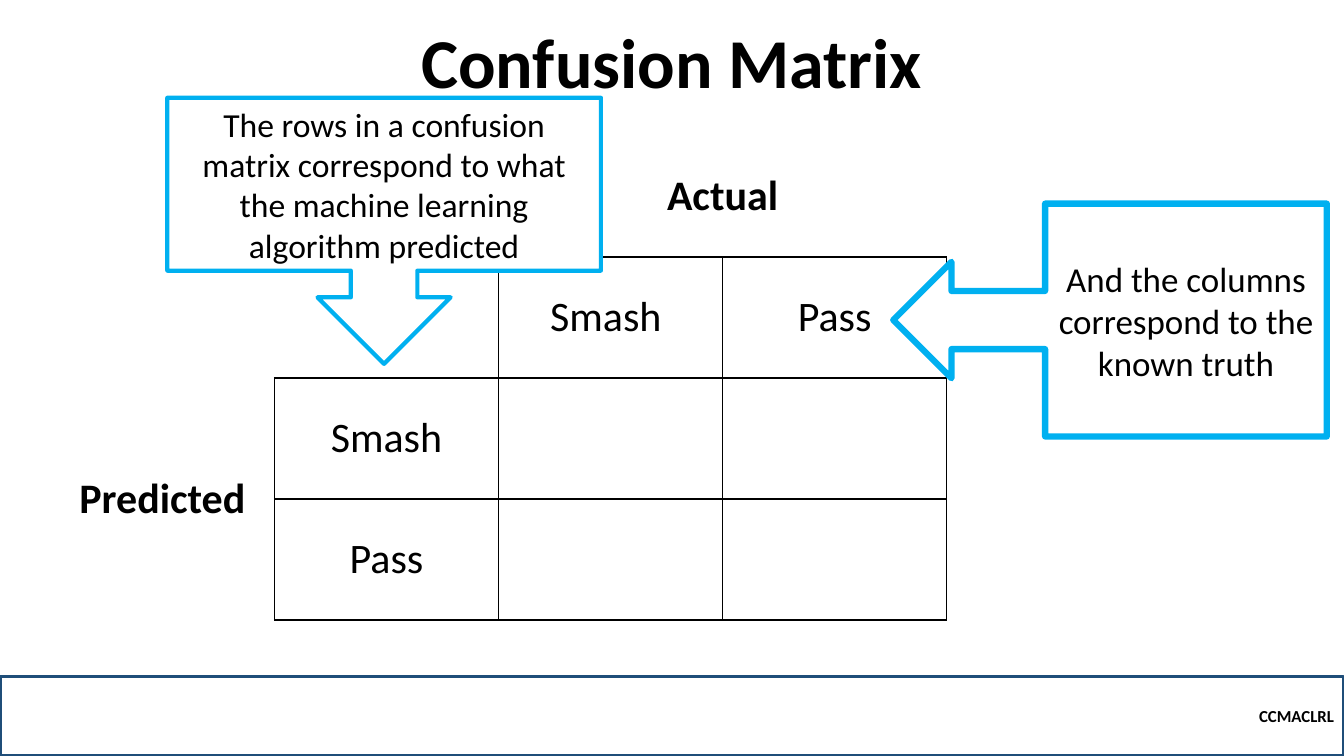
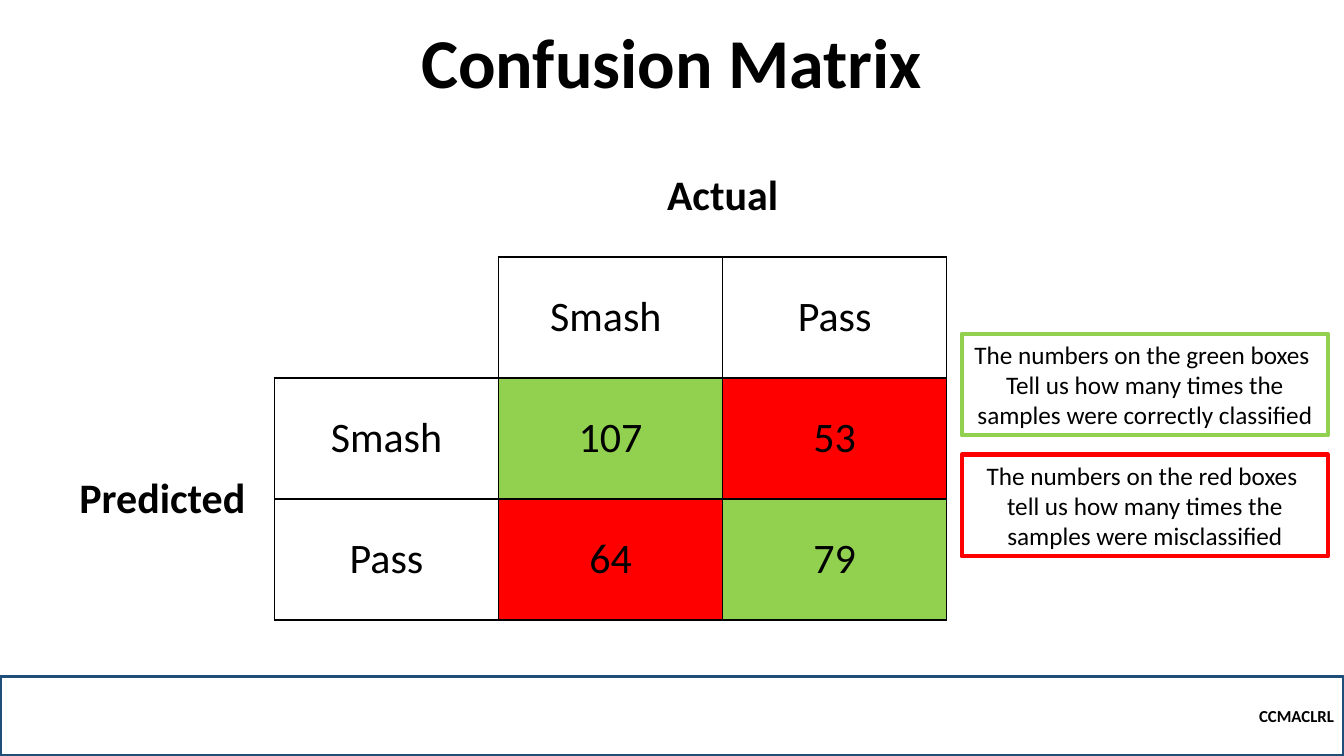
from dataclasses import dataclass

from lxml import etree
from pptx import Presentation
from pptx import util as u
from pptx.dml.color import RGBColor
from pptx.enum import shapes, text
from pptx.oxml import ns

FONT = "Calibri"
COLORS = {
    "ink": "000000",
    "paper": "FFFFFF",
    "band": "1F4E79",
    "callout": "00B0F0",
    "correct": "92D050",
    "wrong": "FF0000",
}
CENTER = text.PP_ALIGN.CENTER
MIDDLE = text.MSO_ANCHOR.MIDDLE
RECTANGLE = shapes.MSO_SHAPE.RECTANGLE
SIZE = 4
PLAIN_TABLE_STYLE = "{2D5ABB26-0587-4C30-8999-92F81FD0307C}"
NEIGHBORS = {"lnL": (0, -1), "lnR": (0, 1), "lnT": (-1, 0), "lnB": (1, 0)}
LABELS = {
    (0, 2): "Actual",
    (1, 2): "Smash ",
    (1, 3): "Pass",
    (2, 0): "Predicted",
    (2, 1): "Smash",
    (3, 1): "Pass",
}
AXIS_TITLES = ((0, 2), (2, 0))


@dataclass
class Box:
    left: float
    top: float
    width: float
    height: float
    lines: tuple[str, ...]
    size: float
    line_color: str
    line_width: float
    kind: shapes.MSO_SHAPE = RECTANGLE
    fill: str | None = None
    align: text.PP_ALIGN = CENTER
    bold: bool = False


@dataclass
class MatrixSlide:
    counts: dict[tuple[int, int], int]
    boxes: tuple[Box, ...]


FOOTER = Box(0, 6.71, 13.33, 0.79, ("CCMACLRL",), 12, "band", 2.25,
             align=text.PP_ALIGN.RIGHT, bold=True)


def note(top: float, color: str, lines: tuple[str, ...]) -> Box:
    return Box(9.54, top, 3.63, 1.01, lines, 18, color, 3)


SLIDES = (
    MatrixSlide({}, (
        Box(1.66, 0.97, 4.3, 2.64,
            ("The rows in a confusion matrix correspond to what the machine "
             "learning algorithm predicted",),
            24, "callout", 3, shapes.MSO_SHAPE.DOWN_ARROW_CALLOUT, "paper"),
        Box(8.86, 2.02, 4.3, 2.31,
            ("And the columns correspond to the known truth",),
            25, "callout", 4.5, shapes.MSO_SHAPE.LEFT_ARROW_CALLOUT, "paper"),
    )),
    MatrixSlide({(2, 2): 107, (2, 3): 53, (3, 2): 64, (3, 3): 79}, (
        note(3.31, "correct", ("The numbers on the green boxes ",
                               "Tell us how many times the",
                               "samples were correctly classified")),
        note(4.51, "wrong", ("The numbers on the red boxes ",
                             "tell us how many times the",
                             "samples were misclassified")),
    )),
)


def color(name: str) -> RGBColor:
    return RGBColor.from_string(COLORS[name])


def write(frame, lines: tuple[str, ...], size: float, bold: bool = False,
          align: text.PP_ALIGN = CENTER) -> None:
    frame.word_wrap = True
    frame.text = "\n".join(lines)
    for paragraph in frame.paragraphs:
        paragraph.alignment = align
        paragraph.font.name = FONT
        paragraph.font.size = u.Pt(size)
        paragraph.font.bold = bold
        paragraph.font.color.rgb = color("ink")


def set_fill(fill, name: str | None) -> None:
    if name is None:
        fill.background()
    else:
        fill.solid()
        fill.fore_color.rgb = color(name)


def draw_box(slide, box: Box) -> None:
    shape = slide.shapes.add_shape(
        box.kind, u.Inches(box.left), u.Inches(box.top),
        u.Inches(box.width), u.Inches(box.height))
    shape.shadow.inherit = False
    set_fill(shape.fill, box.fill)
    shape.line.color.rgb = color(box.line_color)
    shape.line.width = u.Pt(box.line_width)
    shape.text_frame.vertical_anchor = MIDDLE
    write(shape.text_frame, box.lines, box.size, box.bold, box.align)


def draw_title(slide) -> None:
    title = slide.shapes.add_textbox(
        u.Inches(0.5), u.Inches(0.29), u.Inches(12.33), u.Inches(0.79))
    title.text_frame.vertical_anchor = text.MSO_ANCHOR.BOTTOM
    write(title.text_frame, ("Confusion Matrix",), 50, bold=True)
    title.text_frame.paragraphs[0].line_spacing = 0.9


def is_ruled(row: int, column: int) -> bool:
    return 1 <= row < SIZE and 1 <= column < SIZE and (row, column) != (1, 1)


def draw_borders(cell, row: int, column: int) -> None:
    properties = cell._tc.get_or_add_tcPr()
    for tag, (down, right) in NEIGHBORS.items():
        border = etree.SubElement(properties, ns.qn(f"a:{tag}"), w=str(u.Pt(1)))
        if is_ruled(row, column) or is_ruled(row + down, column + right):
            fill = etree.SubElement(border, ns.qn("a:solidFill"))
            etree.SubElement(fill, ns.qn("a:srgbClr"), val=COLORS["ink"])
        else:
            etree.SubElement(border, ns.qn("a:noFill"))


def draw_matrix(slide, counts: dict[tuple[int, int], int]) -> None:
    table = slide.shapes.add_table(
        SIZE, SIZE, u.Inches(0.5), u.Inches(1.35),
        u.Inches(8.89), u.Inches(4.8)).table
    table._tbl.tblPr.find(ns.qn("a:tableStyleId")).text = PLAIN_TABLE_STYLE
    table.first_row = False
    table.horz_banding = False
    table.cell(0, 2).merge(table.cell(0, 3))
    table.cell(2, 0).merge(table.cell(3, 0))
    content = LABELS | {place: str(count) for place, count in counts.items()}
    for row in range(SIZE):
        for column in range(SIZE):
            place = (row, column)
            cell = table.cell(row, column)
            draw_borders(cell, row, column)
            name = None
            if place in counts:
                name = "correct" if row == column else "wrong"
            set_fill(cell.fill, name)
            cell.vertical_anchor = MIDDLE
            if place in content:
                write(cell.text_frame, (content[place],), 30,
                      bold=place in AXIS_TITLES)


def main() -> None:
    presentation = Presentation()
    presentation.slide_width = u.Inches(13.33)
    presentation.slide_height = u.Inches(7.5)
    for matrix_slide in SLIDES:
        slide = presentation.slides.add_slide(presentation.slide_layouts[6])
        draw_box(slide, FOOTER)
        draw_title(slide)
        draw_matrix(slide, matrix_slide.counts)
        for box in matrix_slide.boxes:
            draw_box(slide, box)
    presentation.save("out.pptx")


if __name__ == "__main__":
    main()
